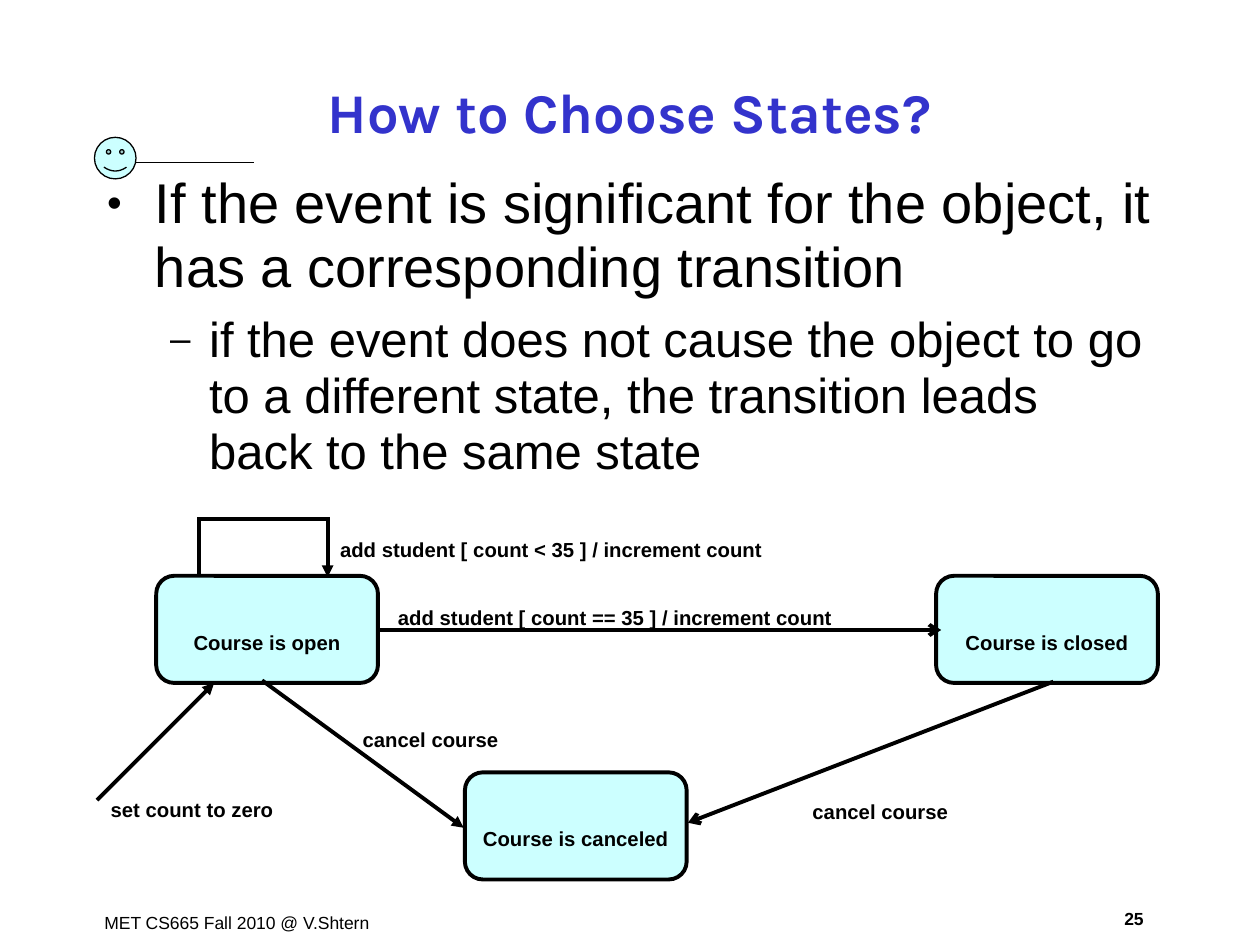
from dataclasses import dataclass
from typing import NamedTuple, Optional

from lxml.etree import SubElement
from pptx import Presentation
from pptx.dml.color import RGBColor
from pptx.enum.shapes import MSO_CONNECTOR as Connector, MSO_SHAPE as Shape
from pptx.enum.text import MSO_ANCHOR as Anchor, MSO_AUTO_SIZE as AutoSize, PP_ALIGN as Align
from pptx.oxml.ns import qn
from pptx.util import Inches, Pt


@dataclass(frozen=True)
class Theme:
    ink: RGBColor = RGBColor(0x00, 0x00, 0x00)
    heading: RGBColor = RGBColor(0x33, 0x33, 0xCC)
    state_fill: RGBColor = RGBColor(0xCC, 0xFF, 0xFF)
    heading_font: str = "Karla"
    body_font: str = "Arial"
    title_size: float = 32
    body_sizes: tuple = (32, 28)
    diagram_size: float = 20
    footer_size: float = 10
    diagram_line: float = 2.25


class State(NamedTuple):
    name: str
    left: float
    top: float


class Label(NamedTuple):
    text: str
    left: float
    top: float
    width: float


class Line(NamedTuple):
    start: tuple
    end: tuple
    head: Optional[str] = None
    weight: float = Theme.diagram_line


class Bullet(NamedTuple):
    text: str
    level: int
    mark: str
    margin: float
    hanging: float
    space_before: float


THEME = Theme()
STATE_WIDTH, STATE_HEIGHT = 1.76, 0.85
LABEL_HEIGHT = 0.43
SUBSCRIPT = "-25000"

STATES = [
    State("Course is open", 1.24, 4.57),
    State("Course is closed", 7.43, 4.57),
    State("Course is canceled", 3.69, 6.13),
]
LABELS = [
    Label("add student [ count == 35 ] / increment count", 3.06, 4.59, 4.09),
    Label("cancel course", 6.35, 6.13, 1.73),
    Label("cancel course", 2.78, 5.56, 1.73),
    Label("add student [ count < 35 ] / increment count", 2.6, 4.05, 4.01),
    Label("set count to zero", 0.78, 6.11, 1.73),
]
TRANSITIONS = [
    Line((3, 5), (7.47, 5), "arrow"),
    Line((8.36, 5.41), (5.46, 6.53), "arrow"),
    Line((2.08, 5.4), (3.68, 6.57), "triangle"),
    Line((1.58, 4.57), (1.58, 4.1)),
    Line((1.57, 4.12), (2.62, 4.12)),
    Line((2.6, 4.12), (2.6, 4.58), "triangle"),
    Line((0.77, 6.35), (1.7, 5.42), "triangle"),
]
BULLETS = [
    Bullet("If the event is significant for the object, it has a corresponding transition",
           0, "•", 0.38, -0.38, 8),
    Bullet("if the event does not cause the object to go to a different state, "
           "the transition leads back to the same state", 1, "–", 0.81, -0.31, 7),
]


def set_attributes(target, values: dict) -> None:
    for name, value in values.items():
        setattr(target, name, value)


def place(shape, left: float, top: float, width: float, height: float) -> None:
    set_attributes(shape, {"left": Inches(left), "top": Inches(top),
                           "width": Inches(width), "height": Inches(height)})


def add_run(paragraph, text: str, size: float, bold: bool = False,
            color: RGBColor = THEME.ink, font: str = THEME.body_font):
    run = paragraph.add_run()
    run.text = text
    set_attributes(run.font, {"name": font, "size": Pt(size), "bold": bold})
    run.font.color.rgb = color
    return run


def add_diagram_text(paragraph, text: str) -> None:
    """Write bold diagram wording, lowered below the baseline."""
    paragraph.line_spacing = 0.85
    run = add_run(paragraph, text, THEME.diagram_size, bold=True)
    run._r.get_or_add_rPr().set("baseline", SUBSCRIPT)


def add_text_box(slide, left: float, top: float, width: float, height: float):
    """Add a wrapping box and return its first paragraph."""
    frame = slide.shapes.add_textbox(*map(Inches, (left, top, width, height))).text_frame
    set_attributes(frame, {"word_wrap": True, "auto_size": AutoSize.SHAPE_TO_FIT_TEXT})
    return frame.paragraphs[0]


def add_filled_shape(slide, kind, box: tuple, weight: float, adjustment: float):
    shape = slide.shapes.add_shape(kind, *map(Inches, box))
    shape.adjustments[0] = adjustment
    shape.shadow.inherit = False
    shape.fill.solid()
    shape.fill.fore_color.rgb = THEME.state_fill
    shape.line.color.rgb = THEME.ink
    shape.line.width = Pt(weight)
    return shape


def add_state(slide, state: State) -> None:
    box = (state.left, state.top, STATE_WIDTH, STATE_HEIGHT)
    frame = add_filled_shape(slide, Shape.ROUNDED_RECTANGLE, box,
                             THEME.diagram_line, 0.167).text_frame
    set_attributes(frame, {"word_wrap": True, "vertical_anchor": Anchor.MIDDLE})
    paragraph = frame.paragraphs[0]
    paragraph.alignment = Align.CENTER
    add_diagram_text(paragraph, state.name)


def add_line(slide, line: Line) -> None:
    connector = slide.shapes.add_connector(
        Connector.STRAIGHT, *map(Inches, line.start + line.end))
    connector.line.color.rgb = THEME.ink
    connector.line.width = Pt(line.weight)
    if line.head:
        SubElement(connector.line._get_or_add_ln(), qn("a:tailEnd"), type=line.head)
    SubElement(connector._element.spPr, qn("a:effectLst"))


def add_bullet(paragraph, bullet: Bullet) -> None:
    set_attributes(paragraph, {"level": bullet.level, "line_spacing": 0.95,
                               "space_before": Pt(bullet.space_before if bullet.level else 0)})
    properties = paragraph._p.get_or_add_pPr()
    properties.set("marL", str(Inches(bullet.margin)))
    properties.set("indent", str(Inches(bullet.hanging)))
    color = SubElement(properties, qn("a:buClr"))
    SubElement(color, qn("a:srgbClr"), val=str(THEME.ink))
    SubElement(properties, qn("a:buSzPct"), val="75000")
    SubElement(properties, qn("a:buFont"), typeface=THEME.body_font)
    SubElement(properties, qn("a:buChar"), char=bullet.mark)
    add_run(paragraph, bullet.text, THEME.body_sizes[bullet.level])


def fill_placeholders(slide) -> None:
    title, body = slide.shapes.title, slide.placeholders[1]
    place(title, 0.75, 0.48, 8.5, 0.8)
    place(body, 0.75, 1.32, 8.5, 5.76)
    set_attributes(title.text_frame, {"auto_size": AutoSize.NONE,
                                      "vertical_anchor": Anchor.MIDDLE})
    heading = title.text_frame.paragraphs[0]
    heading.alignment = Align.CENTER
    add_run(heading, "How to Choose States?", THEME.title_size, True,
            THEME.heading, THEME.heading_font)
    frame = body.text_frame
    frame.auto_size = AutoSize.NONE
    for index, bullet in enumerate(BULLETS):
        add_bullet(frame.add_paragraph() if index else frame.paragraphs[0], bullet)


def main() -> None:
    presentation = Presentation()
    set_attributes(presentation, {"slide_width": Inches(10), "slide_height": Inches(7.5)})
    slide = presentation.slides.add_slide(presentation.slide_layouts[1])
    fill_placeholders(slide)

    add_run(add_text_box(slide, 0.73, 7.19, 2.41, 0.27),
            "MET CS665 Fall 2010 @ V.Shtern", THEME.footer_size)
    page_number = add_text_box(slide, 8.73, 7.16, 0.54, 0.27)
    page_number.alignment = Align.CENTER
    add_run(page_number, "25", THEME.footer_size, bold=True)
    add_filled_shape(slide, Shape.SMILEY_FACE, (0.75, 1.09, 0.33, 0.33), 0.75, 0.0465)
    add_line(slide, Line((1.08, 1.29), (2.02, 1.29), weight=1))

    for state in STATES:
        add_state(slide, state)
    for transition in TRANSITIONS:
        add_line(slide, transition)
    for label in LABELS:
        paragraph = add_text_box(slide, label.left, label.top, label.width, LABEL_HEIGHT)
        add_diagram_text(paragraph, label.text)
    presentation.save("out.pptx")


if __name__ == "__main__":
    main()
